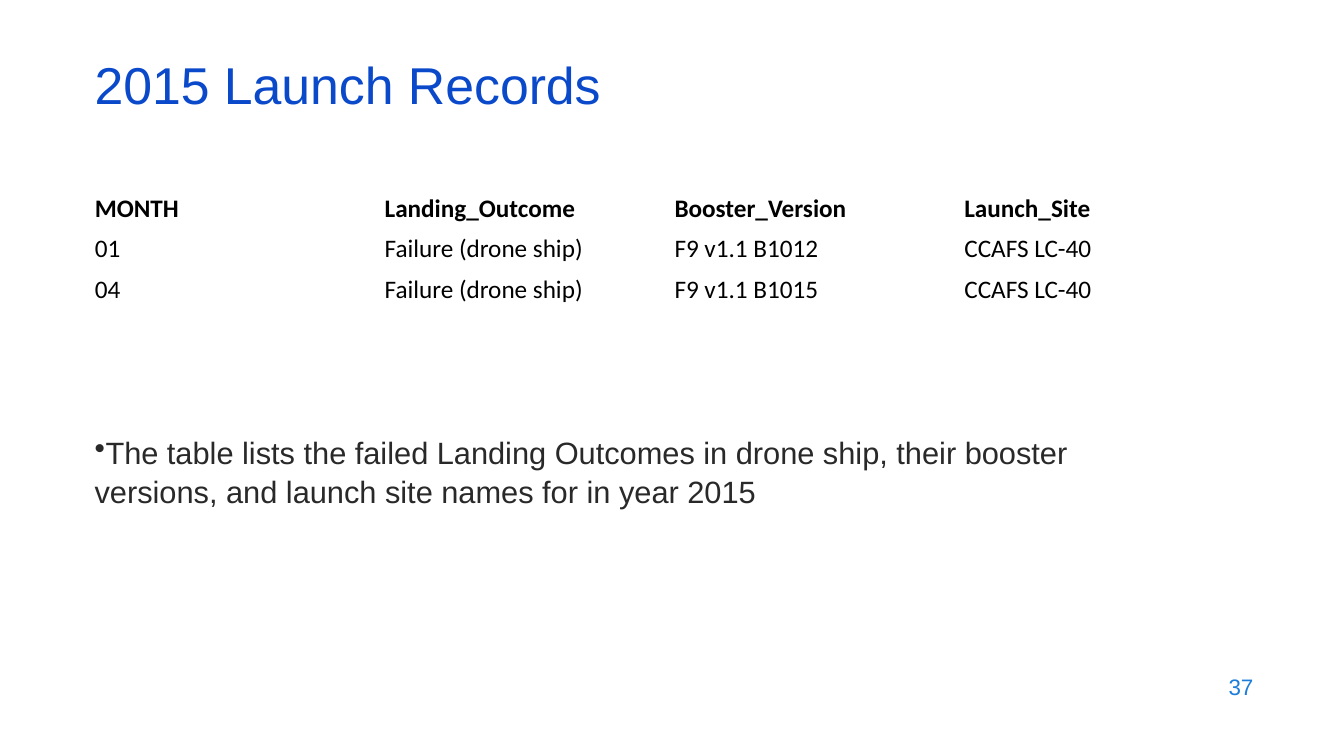
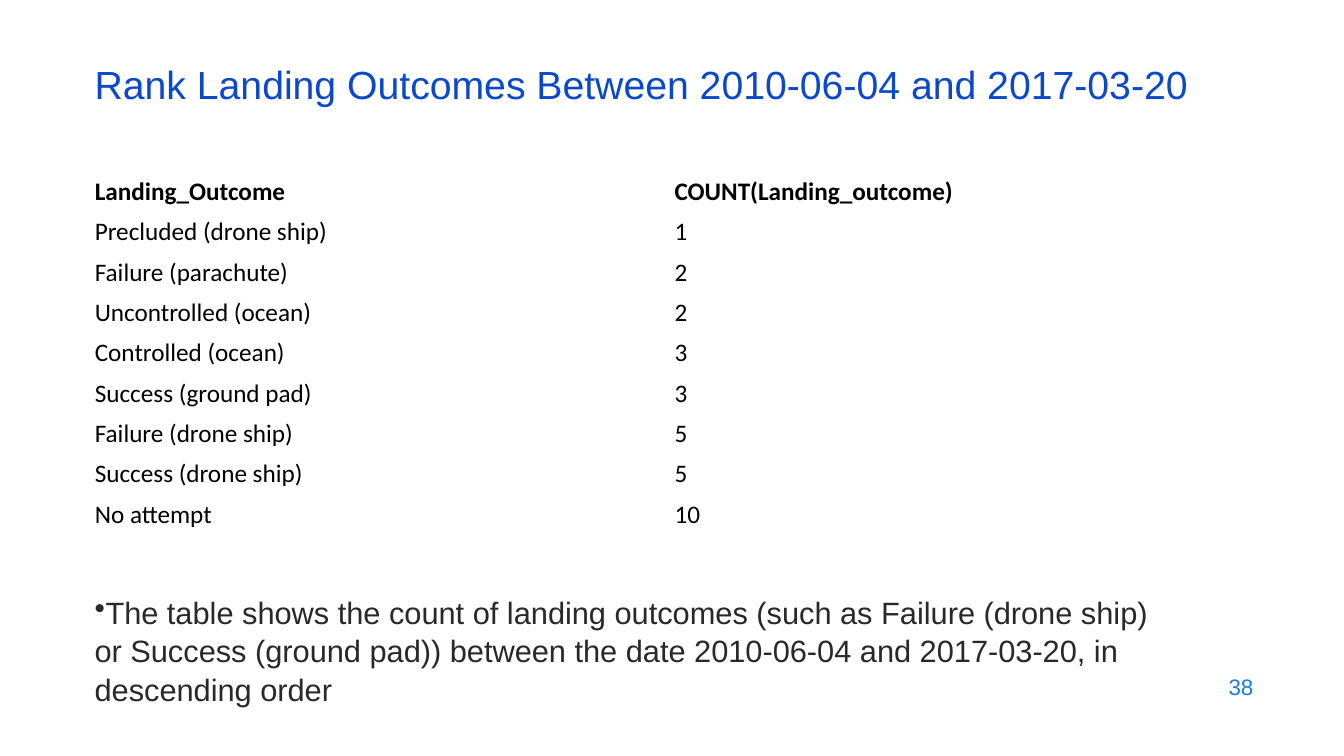
"""Build two slides of launch record tables, each with a one-line reading."""
from lxml import etree
from pptx import Presentation
from pptx.dml.color import RGBColor
from pptx.enum.text import MSO_ANCHOR, PP_ALIGN
from pptx.oxml.ns import qn
from pptx.util import Inches, Pt

LEFT, RIGHT = PP_ALIGN.LEFT, PP_ALIGN.RIGHT
TOP, MIDDLE = MSO_ANCHOR.TOP, MSO_ANCHOR.MIDDLE

COLORS = {
    "title": "0B49CB",
    "body": "292929",
    "number": "1C7DDB",
    "cell": "000000",
    "background": "FFFFFF",
}
MARGIN, CONTENT_WIDTH = 0.84, 11.5
ROW_HEIGHT = 0.4

SLIDES = [
    {
        "number": 37,
        "title": "2015 Launch Records",
        "title_size": 37,
        "title_spacing": 0.8,
        "table_top": 1.87,
        "rows": [
            ("MONTH", "Landing_Outcome", "Booster_Version", "Launch_Site"),
            ("01", "Failure (drone ship)", "F9 v1.1 B1012", "CCAFS LC-40"),
            ("04", "Failure (drone ship)", "F9 v1.1 B1015", "CCAFS LC-40"),
        ],
        "reading": "The table lists the failed Landing Outcomes in drone ship, their booster "
                   "versions, and launch site names for in year 2015",
        "reading_top": 4.24,
        "reading_height": 1.05,
    },
    {
        "number": 38,
        "title": "Rank Landing Outcomes Between 2010-06-04 and 2017-03-20",
        "title_size": 28,
        "title_spacing": 0.7,
        "table_top": 1.7,
        "rows": [
            ("Landing_Outcome", "COUNT(Landing_outcome)"),
            ("Precluded (drone ship)", "1"),
            ("Failure (parachute)", "2"),
            ("Uncontrolled (ocean)", "2"),
            ("Controlled (ocean)", "3"),
            ("Success (ground pad)", "3"),
            ("Failure (drone ship)", "5"),
            ("Success (drone ship)", "5"),
            ("No attempt", "10"),
        ],
        "reading": "The table shows the count of landing outcomes (such as Failure (drone ship) "
                   "or Success (ground pad)) between the date 2010-06-04 and 2017-03-20, in "
                   "descending order",
        "reading_top": 5.82,
        "reading_height": 1.26,
    },
]


def write(frame, text, *, size, color, font="Arial", bold=False, align=LEFT,
          anchor=MIDDLE, spacing=1.0, bullet=None):
    frame.word_wrap = True
    frame.vertical_anchor = anchor
    paragraph = frame.paragraphs[0]
    paragraph.alignment = align
    paragraph.line_spacing = spacing
    if bullet:
        properties = paragraph._p.get_or_add_pPr()
        properties.set("marL", "0")
        properties.set("indent", "0")
        etree.SubElement(properties, qn("a:buChar")).set("char", bullet)
    run = paragraph.add_run()
    run.text = text
    run.font.name = font
    run.font.size = Pt(size)
    run.font.bold = bold
    run.font.color.rgb = RGBColor.from_string(COLORS[color])


def add_text(slide, text, left, top, width, height, **text_format):
    box = slide.shapes.add_textbox(Inches(left), Inches(top), Inches(width), Inches(height))
    write(box.text_frame, text, **text_format)


def add_records(slide, rows, top):
    table = slide.shapes.add_table(
        len(rows), len(rows[0]), Inches(MARGIN), Inches(top),
        Inches(CONTENT_WIDTH), Inches(ROW_HEIGHT * len(rows))).table
    table.horz_banding = False
    for row_index, row in enumerate(rows):
        for column_index, value in enumerate(row):
            cell = table.cell(row_index, column_index)
            cell.fill.solid()
            cell.fill.fore_color.rgb = RGBColor.from_string(COLORS["background"])
            cell.vertical_anchor = MIDDLE
            write(cell.text_frame, value, size=18, color="cell", font="Calibri",
                  bold=row_index == 0)


def add_slide(deck, content):
    slide = deck.slides.add_slide(deck.slide_layouts[6])
    add_text(slide, str(content["number"]), 9.53, 6.59, 3, 0.44,
             size=16, color="number", align=RIGHT)
    add_text(slide, content["reading"], MARGIN, content["reading_top"], 10.66,
             content["reading_height"], size=22, color="body", anchor=TOP,
             spacing=1.05, bullet="•")
    add_text(slide, content["title"], MARGIN, 0.59, CONTENT_WIDTH, 0.6,
             size=content["title_size"], color="title", spacing=content["title_spacing"])
    add_records(slide, content["rows"], content["table_top"])


def main():
    deck = Presentation()
    deck.slide_width, deck.slide_height = Inches(13.33), Inches(7.5)
    for content in SLIDES:
        add_slide(deck, content)
    deck.save("out.pptx")


if __name__ == "__main__":
    main()
